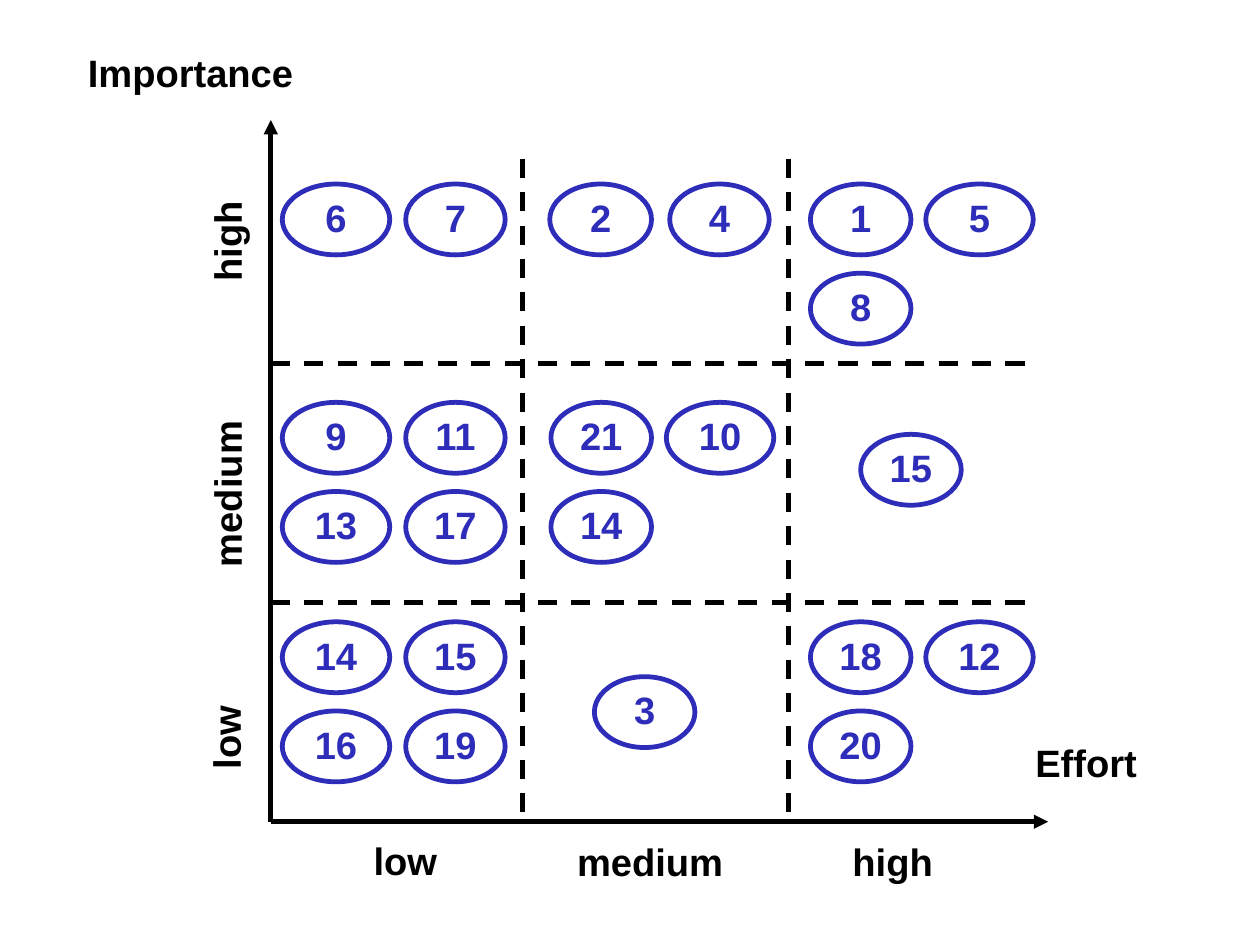
"""Build a three-by-three matrix of numbered items by importance and effort."""
from typing import NamedTuple

from lxml import etree
from pptx import Presentation
from pptx.dml.color import RGBColor
from pptx.enum.dml import MSO_LINE
from pptx.enum.shapes import MSO_CONNECTOR, MSO_SHAPE
from pptx.enum.text import MSO_ANCHOR, MSO_AUTO_SIZE, PP_ALIGN
from pptx.oxml.ns import qn
from pptx.slide import Slide
from pptx.text.text import TextFrame
from pptx.util import Cm, Pt

STRAIGHT = MSO_CONNECTOR.STRAIGHT
OVAL = MSO_SHAPE.OVAL
DASH = MSO_LINE.DASH
MIDDLE, TOP = MSO_ANCHOR.MIDDLE, MSO_ANCHOR.TOP
FIT, FIXED = MSO_AUTO_SIZE.SHAPE_TO_FIT_TEXT, MSO_AUTO_SIZE.NONE
CENTER, LEFT = PP_ALIGN.CENTER, PP_ALIGN.LEFT

BLACK = RGBColor(0x00, 0x00, 0x00)
BLUE = RGBColor(0x2D, 0x2D, 0xB9)

PX = 9144
PAGE_WIDTH, PAGE_HEIGHT = Cm(28), Cm(21)
LINE_WIDTH = Pt(3)
LABEL_HEIGHT = 47
OVAL_HEIGHT, ROW_STEP = 62, 78
ORIGIN_X, ORIGIN_Y = 237, 719
GRID_TOP, GRID_RIGHT = 139, 898
FONT = {"name": "Arial", "size": Pt(24), "bold": True}


class Rule(NamedTuple):
    """A straight line, either a solid arrow or a dashed divider."""
    x1: int
    y1: int
    x2: int
    y2: int
    is_axis: bool = False


class Label(NamedTuple):
    """An axis text, turned upright when rotation is set."""
    text: str
    left: int
    top: int
    width: int
    rotation: int = 0


class Slot(NamedTuple):
    """The left edge and width of a column of ovals."""
    left: int
    width: int


class Cell(NamedTuple):
    """Numbers that fill the slots of one matrix cell, row by row."""
    top: int
    slots: list[Slot]
    numbers: list[int]


RULES = [
    Rule(ORIGIN_X, ORIGIN_Y, 917, ORIGIN_Y, True),
    Rule(ORIGIN_X, ORIGIN_Y, ORIGIN_X, 105, True),
    *[Rule(x, GRID_TOP, x, ORIGIN_Y) for x in (457, 690)],
    *[Rule(ORIGIN_X, y, GRID_RIGHT, y) for y in (527, 318)],
]

LABELS = [
    Label("low", 317, 731, 77),
    Label("medium", 495, 732, 149),
    Label("high", 736, 732, 91),
    Label("low", 161, 621, 77, 270),
    Label("medium", 126, 408, 149, 270),
    Label("high", 155, 187, 91, 270),
    Label("Effort", 896, 646, 110),
    Label("Importance", 67, 42, 201),
]

LOW_EFFORT = [Slot(247, 94), Slot(355, 87)]
HIGH_EFFORT = [Slot(709, 88), Slot(810, 94)]
HIGH_TOP, MEDIUM_TOP, LOW_TOP = 161, 352, 544

CELLS = [
    Cell(HIGH_TOP, LOW_EFFORT, [6, 7]),
    Cell(HIGH_TOP, [Slot(481, 89), Slot(586, 87)], [2, 4]),
    Cell(HIGH_TOP, HIGH_EFFORT, [1, 5, 8]),
    Cell(380, [Slot(753, 88)], [15]),
    Cell(MEDIUM_TOP, [Slot(482, 88), Slot(583, 94)], [21, 10, 14]),
    Cell(MEDIUM_TOP, LOW_EFFORT, [9, 11, 13, 17]),
    Cell(LOW_TOP, LOW_EFFORT, [14, 15, 16, 19]),
    Cell(592, [Slot(520, 88)], [3]),
    Cell(LOW_TOP, HIGH_EFFORT, [18, 12, 20]),
]


def write(frame: TextFrame, text: str, color: RGBColor, align: PP_ALIGN,
          frame_format: dict) -> None:
    """Put one formatted paragraph into a text frame."""
    for name, value in frame_format.items():
        setattr(frame, name, value)
    para = frame.paragraphs[0]
    para.alignment = align
    para.line_spacing = 0.93
    span = para.add_run()
    span.text = text
    for name, value in FONT.items():
        setattr(span.font, name, value)
    span.font.color.rgb = color


def draw_rule(page: Slide, rule: Rule) -> None:
    """Draw an axis arrow or a dashed divider."""
    ends = (rule.x1, rule.y1, rule.x2, rule.y2)
    connector = page.shapes.add_connector(STRAIGHT, *[end * PX for end in ends])
    connector.line.width = LINE_WIDTH
    connector.line.color.rgb = BLACK
    properties = connector._element.spPr
    if rule.is_axis:
        outline = properties.find(qn("a:ln"))
        etree.SubElement(outline, qn("a:tailEnd"), type="triangle")
    else:
        connector.line.dash_style = DASH
    etree.SubElement(properties, qn("a:effectLst"))


def draw_label(page: Slide, label: Label) -> None:
    """Draw an axis text."""
    area = (label.left, label.top, label.width, LABEL_HEIGHT)
    box = page.shapes.add_textbox(*[length * PX for length in area])
    box.rotation = label.rotation
    write(box.text_frame, label.text, BLACK, LEFT,
          {"word_wrap": False, "auto_size": FIT, "vertical_anchor": TOP})


def draw_cell(page: Slide, cell: Cell) -> None:
    """Draw the numbered ovals of one matrix cell."""
    for index, number in enumerate(cell.numbers):
        row, column = divmod(index, len(cell.slots))
        slot = cell.slots[column]
        area = (slot.left, cell.top + row * ROW_STEP, slot.width, OVAL_HEIGHT)
        oval = page.shapes.add_shape(OVAL, *[length * PX for length in area])
        oval.shadow.inherit = False
        oval.fill.background()
        oval.line.color.rgb = BLUE
        oval.line.width = LINE_WIDTH
        write(oval.text_frame, str(number), BLUE, CENTER,
              {"word_wrap": True, "auto_size": FIXED, "vertical_anchor": MIDDLE})


def main() -> None:
    """Build and save the deck."""
    deck = Presentation()
    deck.slide_width = PAGE_WIDTH
    deck.slide_height = PAGE_HEIGHT
    page = deck.slides.add_slide(deck.slide_layouts[6])
    for rule in RULES:
        draw_rule(page, rule)
    for label in LABELS:
        draw_label(page, label)
    for cell in CELLS:
        draw_cell(page, cell)
    deck.save("out.pptx")


if __name__ == "__main__":
    main()
